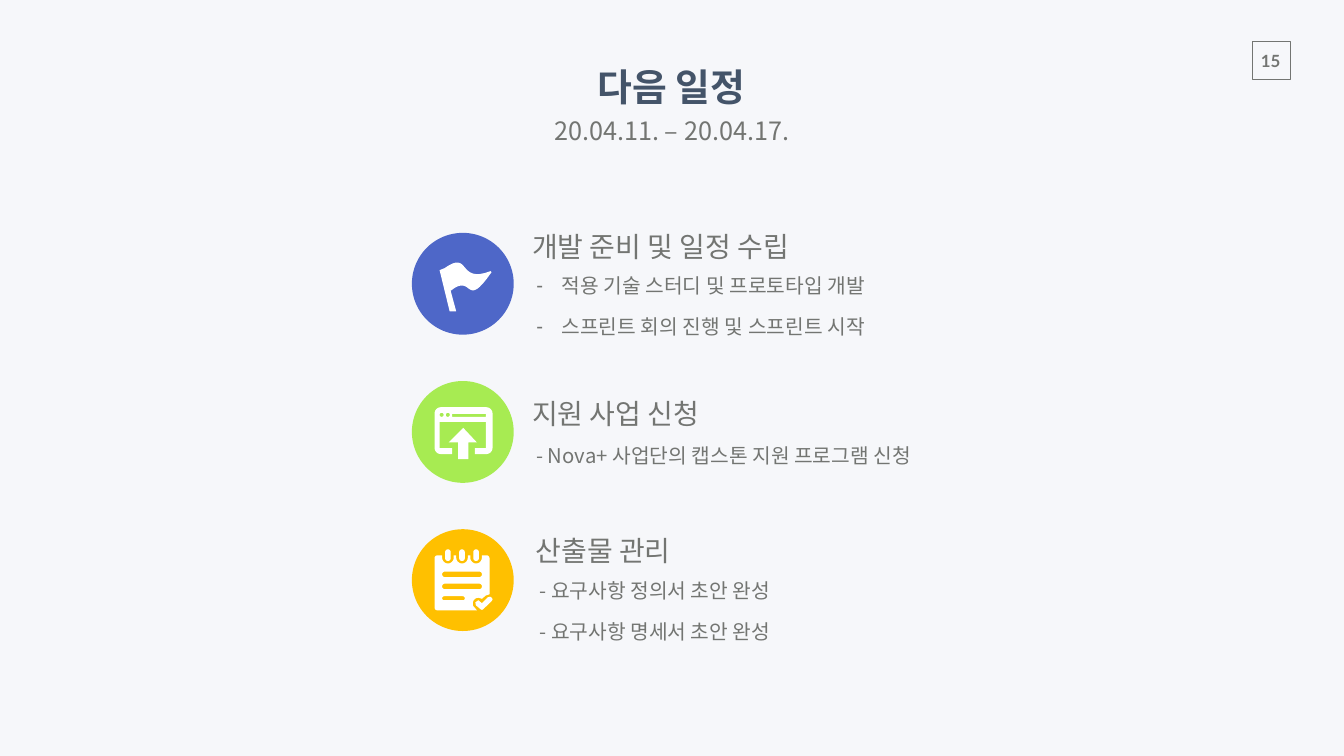
import pptx
import pptx.util
import pptx.dml.color
import pptx.enum.shapes
import pptx.enum.text
import lxml.etree
from dataclasses import dataclass
from pptx.oxml import ns

Pt = pptx.util.Pt
ALIGN = pptx.enum.text.PP_ALIGN
ANCHOR = pptx.enum.text.MSO_ANCHOR
SHAPE = pptx.enum.shapes.MSO_SHAPE


@dataclass(frozen=True)
class Theme:
    background: str = "F6F7FA"
    gray: str = "737572"
    navy: str = "445469"
    white: str = "FFFFFF"
    text_font: str = "Noto Sans CJK KR"
    title_font: str = "Montserrat"
    number_font: str = "Lato"
    title_size: int = 54
    subtitle_size: int = 36
    heading_size: int = 40
    list_size: int = 29
    number_size: int = 24


THEME = Theme()
TITLE = "다음 일정"
SUBTITLE = "20.04.11. – 20.04.17."
PAGE_NUMBER = "15"


def bar(left, top, right, bottom, radius):
    return [(left, top, radius), (right, top, radius), (right, bottom, radius), (left, bottom, radius)]


def curve(start, pull_a, pull_b, end, steps=16):
    """Points along a cubic Bezier curve."""
    weights = [((1 - t) ** 3, 3 * t * (1 - t) ** 2, 3 * t * t * (1 - t), t ** 3)
               for t in (step / steps for step in range(steps + 1))]
    return [tuple(sum(w * point[axis] for w, point in zip(row, (start, pull_a, pull_b, end)))
                  for axis in (0, 1)) for row in weights]


# Icon outlines: corners (x, y, optional radius) in points from the disc's top left.
FLAG = [curve((112.3, 54.7), (64.8, 73.4), (84.2, 23.8), (46.8, 50.4))
        + [(39.6, 53.3), (54, 112.3), (63.4, 112.3)]
        + curve((55.4, 82.8), (88.6, 56.2), (74.9, 112.3), (113.8, 56.2))]

UPLOAD_WINDOW = [
    [(32.4, 37.4, 9), (115.2, 37.4, 9), (115.2, 104.4, 9), (90, 104.4), (90, 95.8), (105.8, 95.8),
     (105.8, 58.3), (39.6, 58.3), (39.6, 95.8), (57.6, 95.8), (57.6, 104.4), (32.4, 104.4, 9)],
    bar(39.6, 45.4, 45.4, 51.2, 2.9),
    bar(48.4, 45.4, 54.2, 51.2, 2.9),
    bar(57.6, 46.8, 105.8, 51.1, 0),
    [(73.4, 67), (52.6, 87.8), (66.2, 87.8), (66.2, 111.6), (80.6, 111.6), (80.6, 87.8), (92.9, 87.8)],
]

RINGS = [51.5 + 20.1 * ring for ring in range(3)]
RING_GAPS = [corner for x in RINGS for corner in
             ((x - 8.3, 37.4), (x - 8.3, 49, 8.3), (x + 8.3, 49, 8.3), (x + 8.3, 37.4))]
NOTEPAD = [
    [(32.4, 37.4, 4)] + RING_GAPS + [
        (110.9, 37.4, 4), (110.9, 92.9), (105.1, 95), (100.1, 99.4), (95, 97.9), (87.1, 98.5, 7),
        (87.1, 109), (92.9, 115.9), (32.4, 115.9, 4)],
    [(115.2, 100.8), (113, 103.7), (100.1, 115.9, 2), (91.4, 108.7), (90.7, 104.4),
     (95, 101.5), (100.1, 105.8), (108.7, 97.2), (111.6, 96.5), (114.5, 98)],
    bar(43.2, 60.5, 100.1, 68.4, 3.9),
    bar(43.2, 77.8, 100.1, 85.7, 3.9),
    bar(43.2, 95.8, 75.6, 101.5, 2.8),
] + [bar(x - 4, 28.8, x + 4, 45.4, 4) for x in RINGS]

DISC_LEFT, DISC_TOP, DISC_SIZE, DISC_STEP = 588.24, 332.64, 145.44, 211.68

# Boxes are left, top, width, height in points.
TOPICS = [
    dict(color="4E67C8", icon=FLAG, heading="개발 준비 및 일정 수립", heading_box=(753.12, 318.96, 553.68, 56.88),
         items=["적용 기술 스터디 및 프로토타입 개발", "스프린트 회의 진행 및 스프린트 시작"],
         list_box=(751.68, 379.44, 524.16, 112.32), bullet="-"),
    dict(color="A7EB52", icon=UPLOAD_WINDOW, heading="지원 사업 신청", heading_box=(753.12, 558.72, 335.52, 60.48),
         items=["- Nova+ 사업단의 캡스톤 지원 프로그램 신청"],
         list_box=(751.68, 622.08, 580.32, 53.28), bullet=None),
    dict(color="FFC000", icon=NOTEPAD, heading="산출물 관리", heading_box=(758.16, 753.84, 335.52, 60.48),
         items=["- 요구사항 정의서 초안 완성", "- 요구사항 명세서 초안 완성"],
         list_box=(756, 815.04, 375.12, 112.32), bullet=None),
]


def rgb(color):
    return pptx.dml.color.RGBColor.from_string(color)


def place(box, left, top, width, height):
    box.left, box.top, box.width, box.height = Pt(left), Pt(top), Pt(width), Pt(height)


def write(box, lines, size, font=THEME.text_font, color=THEME.gray, bold=False, align=ALIGN.LEFT,
          anchor=ANCHOR.TOP, inset=(7.2, 3.6), wrap=True, spacing=1.0, before=0, bullet=None):
    frame = box.text_frame
    frame.word_wrap = wrap
    frame.auto_size = pptx.enum.text.MSO_AUTO_SIZE.SHAPE_TO_FIT_TEXT
    frame.vertical_anchor = anchor
    frame.margin_left = frame.margin_right = Pt(inset[0])
    frame.margin_top = frame.margin_bottom = Pt(inset[1])
    for index, line in enumerate(lines):
        para = frame.add_paragraph() if index else frame.paragraphs[0]
        para.alignment, para.line_spacing, para.space_before = align, spacing, Pt(before)
        props = para._p.get_or_add_pPr()
        indent = Pt(36) if bullet else 0
        props.set("marL", str(indent))
        props.set("indent", str(-indent))
        mark = lxml.etree.SubElement(props, ns.qn("a:buChar" if bullet else "a:buNone"))
        if bullet:
            mark.set("char", bullet)
        span = para.add_run()
        span.text = line
        span.font.name, span.font.size, span.font.bold = font, Pt(size), bold
        span.font.color.rgb = rgb(color)
        east_asian = lxml.etree.SubElement(span.font._element, ns.qn("a:ea"))
        east_asian.set("typeface", THEME.text_font)


def paint(shape, fill=None, line=None):
    shape.shadow.inherit = False
    if fill:
        shape.fill.solid()
        shape.fill.fore_color.rgb = rgb(fill)
    else:
        shape.fill.background()
    if line:
        shape.line.color.rgb = rgb(line)
        shape.line.width = Pt(1)
    else:
        shape.line.fill.background()


def rounded(corners, steps=6):
    """Outline points, with each corner that has a radius replaced by an arc."""
    points = []
    for index, (x, y, *radius) in enumerate(corners):
        if not radius or not radius[0]:
            points.append((x, y))
            continue
        ends = []
        for other in (corners[index - 1], corners[(index + 1) % len(corners)]):
            dx, dy = other[0] - x, other[1] - y
            length = (dx * dx + dy * dy) ** 0.5
            part = radius[0] / length
            ends.append((x + dx * part, y + dy * part))
        pulls = [(end[0] + (x - end[0]) * 0.55, end[1] + (y - end[1]) * 0.55) for end in ends]
        points += curve(ends[0], pulls[0], pulls[1], ends[1], steps)
    return points


def draw_icon(page, outlines, left, top):
    builder = None
    for outline in outlines:
        first, *rest = [(Pt(left + x), Pt(top + y)) for x, y in rounded(outline)]
        if builder is None:
            builder = page.shapes.build_freeform(*first, scale=1.0)
        else:
            builder.move_to(*first)
        builder.add_line_segments(rest, close=True)
    paint(builder.convert_to_shape(), THEME.white)


def main():
    deck = pptx.Presentation()
    deck.slide_width, deck.slide_height = Pt(1919.52), Pt(1080)
    page = deck.slides.add_slide(deck.slide_layouts[4])
    page.background.fill.solid()
    page.background.fill.fore_color.rgb = rgb(THEME.background)
    title, subtitle, *lists = page.placeholders

    frame = page.shapes.add_shape(SHAPE.RECTANGLE, Pt(1788.48), Pt(59.04), Pt(54), Pt(54))
    paint(frame, line=THEME.gray)
    number = page.shapes.add_textbox(Pt(1785.6), Pt(64.8), Pt(58.32), Pt(43.92))
    write(number, [PAGE_NUMBER], THEME.number_size, THEME.number_font, bold=True,
          align=ALIGN.CENTER, inset=(14.4, 7.2), wrap=False)

    centered = dict(align=ALIGN.CENTER, anchor=ANCHOR.MIDDLE, inset=(19.44, 9.36), wrap=False)
    place(title, 824.4, 80.64, 268.56, 84.96)
    write(title, [TITLE], THEME.title_size, THEME.title_font, THEME.navy, bold=True, **centered)
    place(subtitle, 756.72, 154.8, 405.36, 63.36)
    write(subtitle, [SUBTITLE], THEME.subtitle_size, **centered)

    for row, (topic, body) in enumerate(zip(TOPICS, lists)):
        top = DISC_TOP + row * DISC_STEP
        disc = page.shapes.add_shape(SHAPE.OVAL, Pt(DISC_LEFT), Pt(top), Pt(DISC_SIZE), Pt(DISC_SIZE))
        paint(disc, topic["color"])
        draw_icon(page, topic["icon"], DISC_LEFT, top)
        heading = page.shapes.add_textbox(*map(Pt, topic["heading_box"]))
        write(heading, [topic["heading"]], THEME.heading_size, spacing=1.1)
        place(body, *topic["list_box"])
        write(body, topic["items"], THEME.list_size, inset=(14.4, 7.2), spacing=1.1, before=20,
              bullet=topic["bullet"])

    deck.save("out.pptx")


if __name__ == "__main__":
    main()
